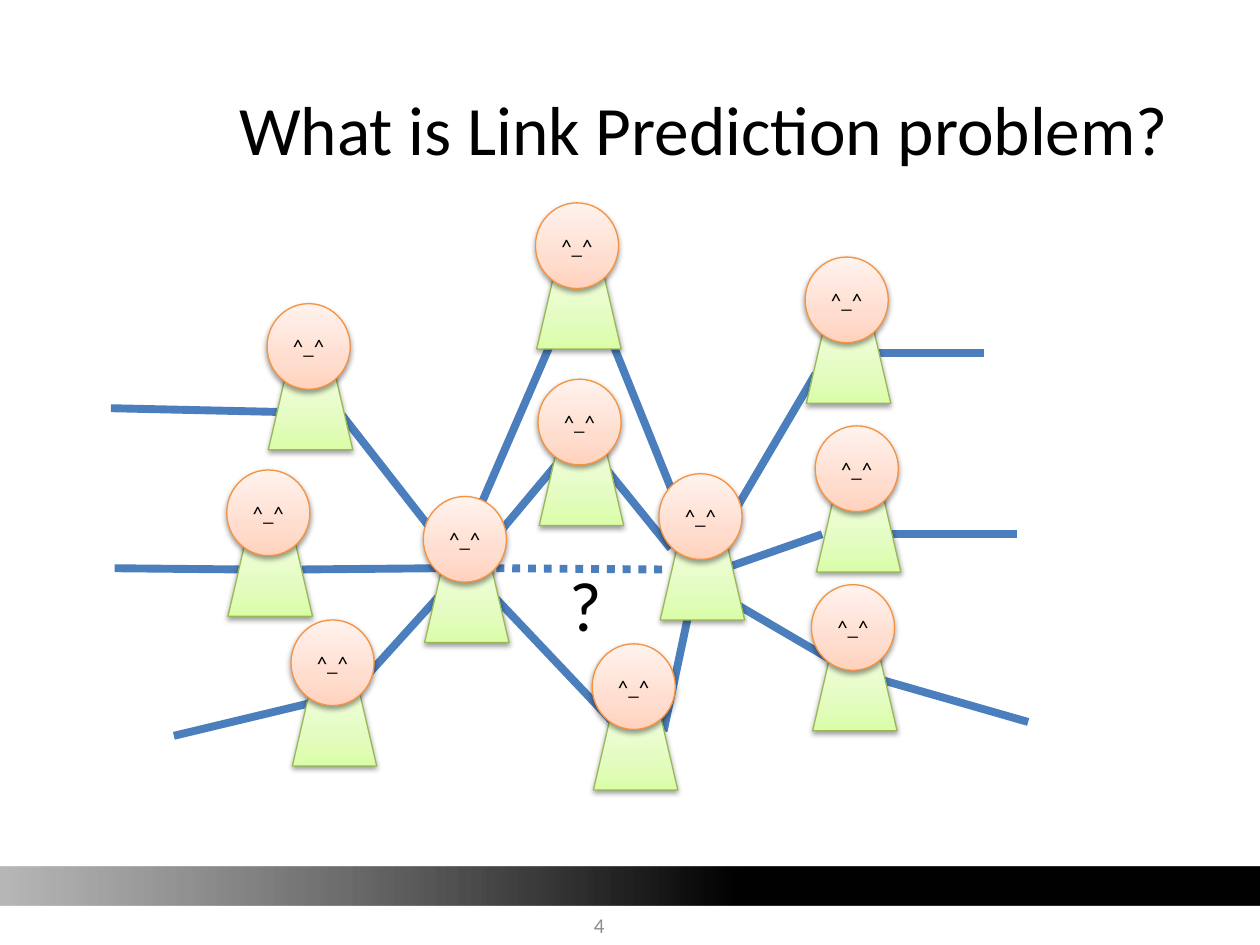
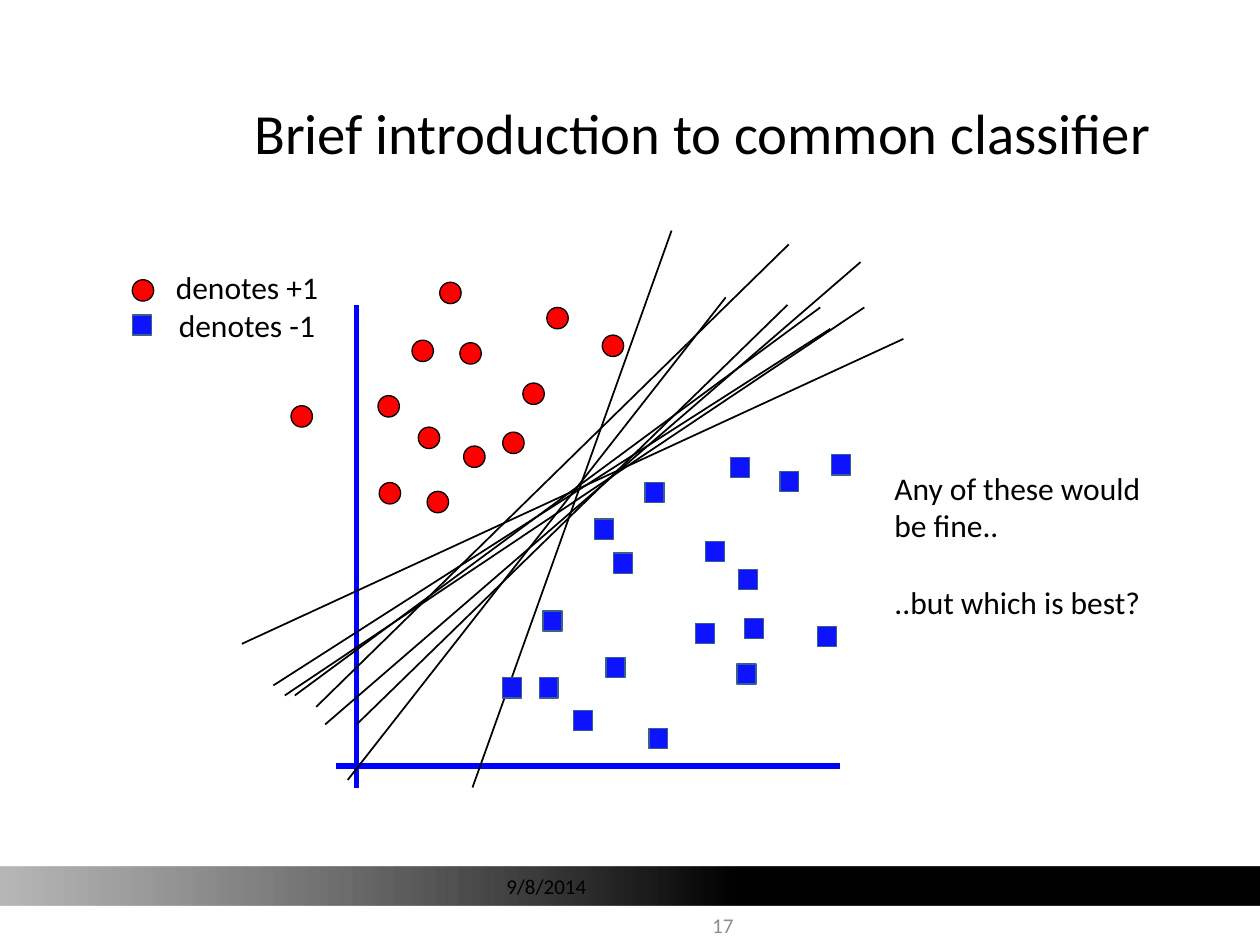
from dataclasses import dataclass

from lxml.etree import SubElement
from pptx import Presentation
from pptx.dml.color import RGBColor
from pptx.enum.dml import MSO_LINE
from pptx.enum.shapes import MSO_CONNECTOR, MSO_SHAPE
from pptx.enum.text import MSO_ANCHOR, PP_ALIGN
from pptx.oxml.ns import qn
from pptx.util import Inches, Pt

SLIDE_WIDTH, SLIDE_HEIGHT = Inches(10), Inches(7.5)
COLUMNS, ROWS = 100, 75
FONT = "Calibri"
COLORS = {
    "text": "000000",
    "page": "8C8C8C",
    "band": "000000",
    "band_fade": "404040",
    "link": "4B7EBC",
    "axis": "0000FF",
    "boundary": "000000",
    "positive": "FF0000",
    "positive_edge": "000000",
    "negative": "0D13FF",
    "negative_edge": "3A5F8C",
    "body_edge": "98B955",
    "head_edge": "F69240",
    "shadow": "000000",
}
BAND_STOPS = [(41, COLORS["band"], 100), (100, COLORS["band_fade"], 37)]
BODY_STOPS = [(0, "DAFDA7", 100), (35, "E4FCC2", 100), (100, "F5FFE7", 100)]
HEAD_STOPS = [(0, "FFD2BD", 100), (35, "FFDED0", 100), (100, "FFF2ED", 100)]


@dataclass
class Region:
    column: float
    row: float
    columns: float
    rows: float

    def point(self, column, row):
        return (round(SLIDE_WIDTH * (self.column + column) / COLUMNS),
                round(SLIDE_HEIGHT * (self.row + row) / ROWS))

    def area(self, column=0, row=0, columns=None, rows=None):
        columns = self.columns if columns is None else columns
        rows = self.rows if rows is None else rows
        return (*self.point(column, row),
                round(SLIDE_WIDTH * columns / COLUMNS),
                round(SLIDE_HEIGHT * rows / ROWS))


BAND = Region(0, 68.8, 100, 3.1)
TITLE = Region(18, 3.9, 77, 12.5)
SMALL_TITLE = Region(19.2, 4.2, 75.8, 12.5)
PAGE = Region(35.9, 71.9, 23.3, 3.1)
DATE = Region(39.2, 68.3, 23.3, 4)
NETWORK = Region(8, 16, 74, 48)
PLOT = Region(19, 18, 53, 45)
LEGEND = Region(9.2, 20.8, 20.8, 9.3)
REMARKS = Region(70, 36.7, 24.2, 21)

HEAD_SIZE = (6.6, 6.8)
BODY_SIZE = (6.7, 7.2)
BODY_OFFSET = (0.1, 4.4)
HUB_RADIUS = 2.35
SIDES = {
    "N": (0, -1), "NE": (0.71, -0.71), "E": (1, 0), "SE": (0.71, 0.71),
    "S": (0, 1), "SW": (-0.71, 0.71), "W": (-1, 0), "NW": (-0.71, -0.71),
}
PEOPLE = {
    "lower left": ((15.1, 33.2), (19, 39.8)),
    "left hub": ((25.6, 23.4), (29, 29.1)),
    "middle left": ((10, 21.3), (13.6, 29.2)),
    "upper left": ((13.2, 8.1), (16.6, 16.7)),
    "shared middle": ((34.7, 14.1), (38, 19)),
    "shared top": ((34.5, 0.1), (38.2, 7.7)),
    "shared bottom": ((39, 35.1), (43, 43.7)),
    "right hub": ((44.3, 21.6), (46.9, 29.2)),
    "lower right": ((56.4, 30.4), (59.4, 37.9)),
    "middle right": ((56.7, 17.8), (59.6, 26.4)),
    "upper right": ((55.9, 4.4), (58.4, 12)),
}
LINKS = [
    ("left hub", "NE", "shared middle", "SW"),
    ("lower left", "NE", "left hub", "SW"),
    ("left hub", "W", "middle left", "E"),
    ("left hub", "NW", "upper left", "E"),
    ("shared bottom", "NW", "left hub", "SE"),
    ("shared bottom", "NE", "right hub", "S"),
    ("shared middle", "SE", "right hub", "NW"),
    ("shared top", "SE", "right hub", "N"),
    ("shared top", "SW", "left hub", "N"),
    ("right hub", "NE", "upper right", "SW"),
    ("right hub", "E", "middle right", "W"),
    ("right hub", "SE", "lower right", "NW"),
]
OUTER_LINKS = [
    ("lower left", "W", (5.8, 42.4)),
    ("middle left", "W", (1.1, 29.1)),
    ("upper left", "W", (0.8, 16.4)),
    ("upper right", "E", (70.1, 12)),
    ("middle right", "E", (72.7, 26.4)),
    ("lower right", "E", (73.6, 41.3)),
]

AXES = [((9.3, 6.2), (9.3, 44.5)), ((7.7, 42.8), (47.7, 42.8))]
BOUNDARIES = [
    ((18.5, 44.5), (34.3, 0.3)), ((2.7, 36.4), (46.9, 8.1)),
    ((9.3, 39.5), (43.5, 6.2)), ((0.2, 33.1), (52.7, 8.9)),
    ((4.4, 37.2), (46.1, 6.4)), ((6.8, 39.5), (49.3, 2.8)),
    ((6.1, 38.1), (43.6, 1.4)), ((8.6, 43.9), (38.6, 5.6)),
    ((3.6, 37.2), (49.6, 6.4)),
]
MARKERS = {
    "positive": (MSO_SHAPE.OVAL, 1.7, 1.7),
    "negative": (MSO_SHAPE.RECTANGLE, 1.5, 1.6),
}
SAMPLES = {
    "positive": [
        (15.9, 4.4), (13.7, 9), (17.5, 9.2), (24.4, 6.4), (22.5, 12.4),
        (14.2, 15.9), (28.8, 8.6), (11, 13.4), (4.1, 14.2), (11.1, 20.3),
        (17.8, 17.4), (20.9, 16.3), (14.9, 21),
    ],
    "negative": [
        (37, 25), (32.2, 20.3), (29.7, 25.9), (24.1, 30.5), (29.1, 34.2),
        (36.2, 31.5), (40.1, 31.1), (28.2, 23.2), (39.6, 27.2), (39, 18.3),
        (42.9, 19.4), (47, 18.1), (39.5, 34.7), (45.9, 31.7), (32.5, 39.8),
        (26.5, 38.4), (23.8, 35.8), (20.9, 35.8),
    ],
}


def rgb(name):
    return RGBColor.from_string(COLORS[name])


def add_color(parent, color, alpha):
    node = SubElement(parent, qn("a:srgbClr"), val=color)
    if alpha < 100:
        SubElement(node, qn("a:alpha"), val=str(alpha * 1000))


def set_gradient(shape, stops, angle):
    shape.fill.gradient()
    gradient = shape.element.spPr.find(qn("a:gradFill"))
    for child in list(gradient):
        gradient.remove(child)
    stop_list = SubElement(gradient, qn("a:gsLst"))
    for position, color, alpha in stops:
        stop = SubElement(stop_list, qn("a:gs"), pos=str(position * 1000))
        add_color(stop, color, alpha)
    SubElement(gradient, qn("a:lin"), ang=str(angle * 60000), scaled="0")


def drop_shadow(shape):
    effects = shape.element.spPr.find(qn("a:effectLst"))
    shadow = SubElement(effects, qn("a:outerShdw"), blurRad="40000",
                        dist="20000", dir="5400000", rotWithShape="0")
    add_color(shadow, COLORS["shadow"], 38)


def add_figure(shapes, kind, area, edge=None):
    figure = shapes.add_shape(kind, *area)
    figure.shadow.inherit = False
    if edge:
        figure.line.color.rgb = rgb(edge)
        figure.line.width = Pt(0.75)
    else:
        figure.line.fill.background()
    return figure


def write(frame, lines, size, color="text", align=PP_ALIGN.LEFT, gap=0):
    frame.text = "\n".join(lines)
    for index, paragraph in enumerate(frame.paragraphs):
        paragraph.alignment = align
        paragraph.space_before = Pt(gap if index else 0)
        paragraph.font.name = FONT
        paragraph.font.size = Pt(size)
        paragraph.font.color.rgb = rgb(color)


def add_text(slide, area, lines, size, anchor=MSO_ANCHOR.TOP, wrap=True, **style):
    frame = slide.shapes.add_textbox(*area).text_frame
    frame.word_wrap = wrap
    frame.vertical_anchor = anchor
    write(frame, lines, size, **style)


def add_line(slide, start, end, color, width):
    line = slide.shapes.add_connector(MSO_CONNECTOR.STRAIGHT, *start, *end)
    line.line.color.rgb = rgb(color)
    line.line.width = Pt(width)
    SubElement(line.element.spPr, qn("a:effectLst"))
    return line


def add_frame(deck, title, title_region, title_size, page, page_align):
    slide = deck.slides.add_slide(deck.slide_layouts[6])
    band = add_figure(slide.shapes, MSO_SHAPE.RECTANGLE, BAND.area())
    set_gradient(band, BAND_STOPS, 180)
    add_text(slide, title_region.area(), [title], title_size, MSO_ANCHOR.MIDDLE)
    add_text(slide, PAGE.area(), [page], 12, MSO_ANCHOR.MIDDLE,
             color="page", align=page_align)
    return slide


def add_person(slide, region, column, row):
    person = slide.shapes.add_group_shape().shapes
    body_area = region.area(column + BODY_OFFSET[0], row + BODY_OFFSET[1], *BODY_SIZE)
    body = add_figure(person, MSO_SHAPE.TRAPEZOID, body_area, "body_edge")
    head_area = region.area(column, row, *HEAD_SIZE)
    head = add_figure(person, MSO_SHAPE.OVAL, head_area, "head_edge")
    for part, stops in ((body, BODY_STOPS), (head, HEAD_STOPS)):
        set_gradient(part, stops, 270)
        drop_shadow(part)
    face = head.text_frame
    face.margin_left = face.margin_right = 0
    face.vertical_anchor = MSO_ANCHOR.MIDDLE
    write(face, ["^_^"], 12, align=PP_ALIGN.CENTER)


def add_network(slide, region):
    def site(person, side):
        column, row = PEOPLE[person][1]
        across, down = SIDES[side]
        return region.point(column + HUB_RADIUS * across, row + HUB_RADIUS * down)

    def link(start, end):
        return add_line(slide, start, end, "link", 4.5)

    for person, side, other, other_side in LINKS:
        link(site(person, side), site(other, other_side))
    for person, side, end in OUTER_LINKS:
        link(site(person, side), region.point(*end))
    predicted = link(site("right hub", "W"), site("left hub", "E"))
    predicted.line.dash_style = MSO_LINE.ROUND_DOT
    add_text(slide, region.area(36.2, 28.1, 4.6, 7.7), ["?"], 40, wrap=False)
    for head, _ in PEOPLE.values():
        add_person(slide, region, *head)


def add_marker(slide, region, label, column, row):
    kind, columns, rows = MARKERS[label]
    area = region.area(column, row, columns, rows)
    marker = add_figure(slide.shapes, kind, area, f"{label}_edge")
    marker.fill.solid()
    marker.fill.fore_color.rgb = rgb(label)


def add_plot(slide, region):
    for lines, color, width in ((AXES, "axis", 3), (BOUNDARIES, "boundary", 1)):
        for start, end in lines:
            add_line(slide, region.point(*start), region.point(*end), color, width)
    for label, places in SAMPLES.items():
        for column, row in places:
            add_marker(slide, region, label, column, row)


def add_legend(slide, region):
    add_text(slide, region.area(), ["denotes +1", "denotes -1"], 18,
             align=PP_ALIGN.CENTER)
    for index, label in enumerate(MARKERS):
        add_marker(slide, region, label, 1.3, 1.4 + 2.8 * index)


def build_link_prediction(deck):
    slide = add_frame(deck, "What is Link Prediction problem?", TITLE, 39.6,
                      "4", PP_ALIGN.CENTER)
    add_network(slide, NETWORK)


def build_classifier(deck):
    slide = add_frame(deck, "Brief introduction to common classifier",
                      SMALL_TITLE, 32.4, "17", PP_ALIGN.RIGHT)
    add_text(slide, DATE.area(), ["9/8/2014"], 12, MSO_ANCHOR.MIDDLE)
    add_plot(slide, PLOT)
    add_legend(slide, LEGEND)
    add_text(slide, REMARKS.area(),
             ["Any of these would be fine..", "..but which is best?"], 18, gap=22)


def main():
    deck = Presentation()
    deck.slide_width, deck.slide_height = SLIDE_WIDTH, SLIDE_HEIGHT
    build_link_prediction(deck)
    build_classifier(deck)
    deck.save("out.pptx")


if __name__ == "__main__":
    main()
